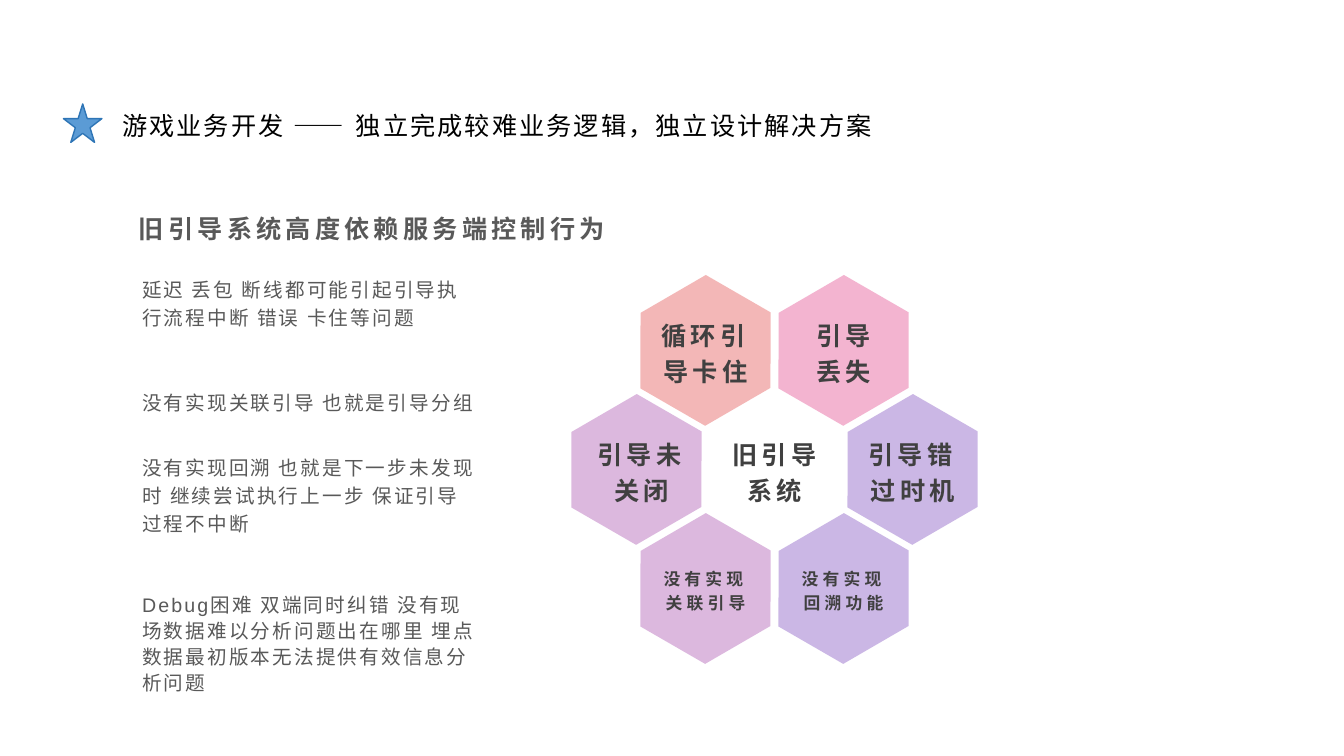
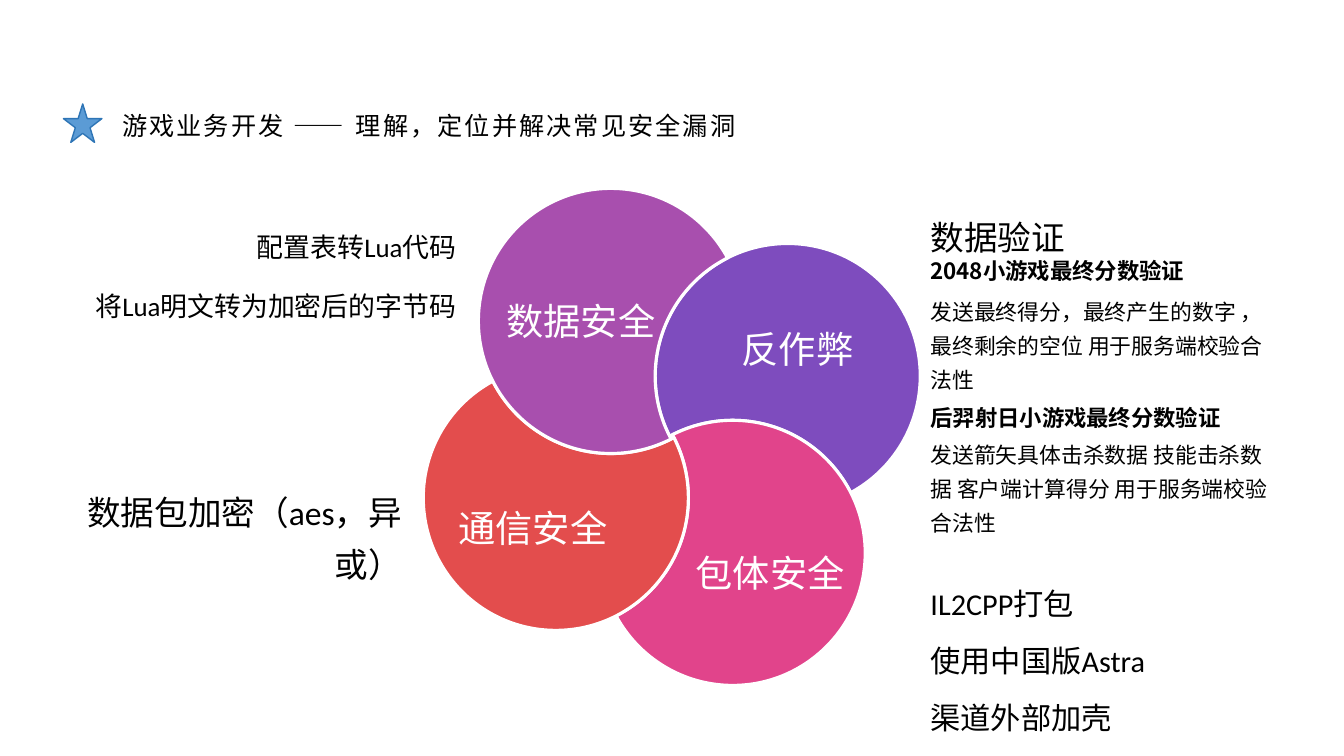
import math

import lxml.etree
import pptx
import pptx.dml.color
import pptx.enum.shapes
import pptx.enum.text
import pptx.oxml.ns
import pptx.util

Cm = pptx.util.Cm
Pt = pptx.util.Pt
RGBColor = pptx.dml.color.RGBColor
qn = pptx.oxml.ns.qn
SHAPE = pptx.enum.shapes.MSO_SHAPE
ALIGN = pptx.enum.text.PP_ALIGN
ANCHOR = pptx.enum.text.MSO_ANCHOR

BLACK = RGBColor(0x00, 0x00, 0x00)
WHITE = RGBColor(0xFF, 0xFF, 0xFF)
DARK_GREY = RGBColor(0x40, 0x40, 0x40)
GREY = RGBColor(0x59, 0x59, 0x59)
RED = RGBColor(0xE3, 0x4D, 0x4D)
PINK = RGBColor(0xE1, 0x44, 0x8B)
MAUVE = RGBColor(0xA8, 0x4F, 0xAE)
PURPLE = RGBColor(0x7E, 0x4C, 0xBE)
STAR_BLUE = RGBColor(0x5B, 0x9B, 0xD5)
STAR_EDGE = RGBColor(0x2E, 0x75, 0xB6)

CJK_FONT = "Noto Sans CJK SC"
DEFAULT_INSETS = (0.25, 0.13, 0.25, 0.13)
NOTE_INSETS = (0.25, 0, 0.25, 0.13)
HEADING_INSETS = (0.25, 0.13, 0.25, 0)

HEXAGON_WIDTH, HEXAGON_HEIGHT = 3.78, 3.3
HEXAGON_STEP_X, HEXAGON_STEP_Y = 1.74, 3.0
HONEYCOMB_X, HONEYCOMB_Y = 19.52, 11.83

PINWHEEL_X, PINWHEEL_Y = 16.93, 11.01
PINWHEEL_ORBIT, PINWHEEL_RADIUS, PINWHEEL_TILT = 3.3, 3.34, -27.7


def add_text(page, left, top, width, height, lines, size=14, font="Arial",
             color=BLACK, bold=False, tracking=0, align=ALIGN.LEFT,
             anchor=ANCHOR.TOP, spacing=1.2, before=0, insets=DEFAULT_INSETS):
    box = page.shapes.add_textbox(Cm(left), Cm(top), Cm(width), Cm(height))
    frame = box.text_frame
    frame.word_wrap = True
    frame.vertical_anchor = anchor
    (frame.margin_left, frame.margin_top,
     frame.margin_right, frame.margin_bottom) = [Cm(inset) for inset in insets]
    for index, line in enumerate(lines):
        para = frame.add_paragraph() if index else frame.paragraphs[0]
        para.alignment = align
        para.line_spacing = spacing
        para.space_before = Pt(before)
        span = para.add_run()
        span.text = line
        span.font.size = Pt(size)
        span.font.bold = bold
        span.font.name = font
        span.font.color.rgb = color
        properties = span.font._element
        properties.set("lang", "zh-CN")
        if tracking:
            properties.set("spc", str(int(tracking * 100)))
        lxml.etree.SubElement(properties, qn("a:ea")).set("typeface", CJK_FONT)
    return box


def paint(shape, color, edge=None, edge_width=1, opacity=100):
    shape.shadow.inherit = False
    shape.fill.solid()
    shape.fill.fore_color.rgb = color
    if opacity < 100:
        fill = shape.element.spPr.find(qn("a:solidFill"))
        lxml.etree.SubElement(fill[0], qn("a:alpha")).set("val", str(opacity * 1000))
    if edge is None:
        shape.line.fill.background()
    else:
        shape.line.color.rgb = edge
        shape.line.width = Pt(edge_width)


def add_page(deck, title):
    page = deck.slides.add_slide(deck.slide_layouts[6])
    star = page.shapes.add_shape(SHAPE.STAR_5_POINT, Cm(1.6), Cm(2.62), Cm(0.97), Cm(0.97))
    paint(star, STAR_BLUE, STAR_EDGE)
    add_text(page, 2.83, 2.62, 27.08, 1.42, ["游戏业务开发 —— " + title],
             size=18, font=CJK_FONT, tracking=1.5, insets=NOTE_INSETS)
    return page


def add_hexagon(page, column, row, color, lines, size=18, opacity=40, nudge=0):
    center_x = HONEYCOMB_X + column * HEXAGON_STEP_X
    center_y = HONEYCOMB_Y + row * HEXAGON_STEP_Y
    hexagon = page.shapes.add_shape(
        SHAPE.HEXAGON, Cm(center_x - HEXAGON_WIDTH / 2), Cm(center_y - HEXAGON_HEIGHT / 2),
        Cm(HEXAGON_WIDTH), Cm(HEXAGON_HEIGHT))
    hexagon.adjustments[0] = 0.287
    hexagon.adjustments[1] = 1.155
    hexagon.rotation = 30
    paint(hexagon, color, opacity=opacity)
    width, height = 2.8, 2.2
    add_text(page, center_x - width / 2 + nudge, center_y - height / 2, width, height, lines,
             size=size, color=DARK_GREY, bold=True, tracking=3,
             align=ALIGN.CENTER, anchor=ANCHOR.MIDDLE)


def circle_point(center, angle, handle=0):
    cosine, sine = math.cos(math.radians(angle)), math.sin(math.radians(angle))
    return (Cm(center[0] + PINWHEEL_RADIUS * (cosine - handle * sine)),
            Cm(center[1] + PINWHEEL_RADIUS * (sine + handle * cosine)))


def arc_controls(center, angles):
    controls = []
    for start, end in zip(angles, angles[1:]):
        handle = 4 / 3 * math.tan(math.radians(end - start) / 4)
        controls += [circle_point(center, start, handle),
                     circle_point(center, end, -handle),
                     circle_point(center, end)]
    return controls


def bend_lines(shape):
    outline = next(shape.element.iter(qn("a:path")))
    lines = outline.findall(qn("a:lnTo"))
    for first in range(0, len(lines), 3):
        curve = lxml.etree.Element(qn("a:cubicBezTo"))
        lines[first].addprevious(curve)
        for line in lines[first:first + 3]:
            curve.append(line[0])
            outline.remove(line)


def petal_center(angle):
    return (PINWHEEL_X + PINWHEEL_ORBIT * math.cos(math.radians(angle)),
            PINWHEEL_Y + PINWHEEL_ORBIT * math.sin(math.radians(angle)))


def add_petal(page, index, color):
    angle = PINWHEEL_TILT + 90 * index
    toward_next = angle + 135
    half_gap = math.degrees(math.acos(PINWHEEL_ORBIT / math.sqrt(2) / PINWHEEL_RADIUS))
    start, end = toward_next + half_gap, toward_next + 360 - half_gap
    quarters = [quarter for quarter in range(0, 1080, 90) if start < quarter < end]
    center = petal_center(angle)
    controls = arc_controls(center, [start, *quarters, end])
    controls += arc_controls(petal_center(angle + 90), [start + 180, end - 180])
    builder = page.shapes.build_freeform(*circle_point(center, start))
    builder.add_line_segments(controls, close=True)
    petal = builder.convert_to_shape()
    bend_lines(petal)
    paint(petal, color, WHITE, 2.25)


def build_guide_page(deck):
    page = add_page(deck, "独立完成较难业务逻辑，独立设计解决方案")
    add_text(page, 2.88, 4.27, 12.62, 1.88, ["旧引导系统高度依赖服务端控制行为"],
             size=18, color=GREY, bold=True, tracking=3, align=ALIGN.RIGHT,
             anchor=ANCHOR.BOTTOM, insets=HEADING_INSETS)
    notes = [
        (6.89, 1.2, "延迟 丢包 断线都可能引起引导执行流程中断 错误 卡住等问题"),
        (9.73, 1.2, "没有实现关联引导 也就是引导分组"),
        (11.36, 1.2, "没有实现回溯 也就是下一步未发现时 继续尝试执行上一步 保证引导过程不中断"),
        (14.88, 1.1, "Debug困难 双端同时纠错 没有现场数据难以分析问题出在哪里 "
                     "埋点数据最初版本无法提供有效信息分析问题"),
    ]
    for top, spacing, note in notes:
        add_text(page, 3.33, top, 8.92, 2.84, [note], color=GREY, tracking=1.5,
                 spacing=spacing, insets=NOTE_INSETS)
    add_hexagon(page, -2, 0, MAUVE, ["引导未关闭"], nudge=0.13)
    add_hexagon(page, 0, 0, WHITE, ["旧引导", "系统"], opacity=80)
    add_hexagon(page, -1, -1, RED, ["循环引导卡住"])
    add_hexagon(page, 2, 0, PURPLE, ["引导错过时机"])
    add_hexagon(page, -1, 1, MAUVE, ["没有实现关联引导"], size=12)
    add_hexagon(page, 1, -1, PINK, ["引导", "丢失"])
    add_hexagon(page, 1, 1, PURPLE, ["没有实现回溯功能"], size=12)


def build_security_page(deck):
    page = add_page(deck, "理解，定位并解决常见安全漏洞")
    for index, color in enumerate([PURPLE, PINK, RED, MAUVE]):
        add_petal(page, index, color)
    middle = {"anchor": ANCHOR.MIDDLE, "spacing": 1.3, "before": 12}
    labels = [
        (14.64, 5.79, "数据安全"),
        (20.1, 6.49, "反作弊"),
        (13.43, 11.0, "通信安全"),
        (19.41, 12.14, "包体安全"),
    ]
    label_width = 5.2
    for center, top, label in labels:
        add_text(page, center - label_width / 2, top, label_width, 4.24, [label],
                 size=26.6, color=WHITE, align=ALIGN.CENTER, **middle)
    add_text(page, 0.93, 4.7, 10.82, 4.27, ["配置表转Lua代码", "将Lua明文转为加密后的字节码"],
             size=19.2, font="Calibri", align=ALIGN.RIGHT, **middle)
    add_text(page, 0.55, 11.28, 9.83, 4.24, ["数据包加密（aes，异或）"],
             size=24, font="Calibri", align=ALIGN.RIGHT, **middle)
    right_column = 23.2
    add_text(page, right_column, 4.53, 9.7, 2.59, ["数据验证"],
             size=24, font="Calibri", **middle)
    checks = [
        (4.75, 6.65, "2048小游戏最终分数验证",
         "发送最终得分，最终产生的数字 ，最终剩余的空位 用于服务端校验合法性"),
        (8.44, 10.25, "后羿射日小游戏最终分数验证",
         "发送箭矢具体击杀数据 技能击杀数据 客户端计算得分 用于服务端校验合法性"),
    ]
    for heading_top, detail_top, heading, detail in checks:
        add_text(page, right_column, heading_top, 9.4, 3.94, [heading],
                 size=16, font=CJK_FONT, bold=True, **middle)
        add_text(page, right_column, detail_top, 9.4, 3.94, [detail],
                 size=15.6, font="Calibri", **middle)
    add_text(page, right_column, 14.48, 9.07, 4.24,
             ["IL2CPP打包", "使用中国版Astra", "渠道外部加壳"],
             size=21.6, font="Calibri", anchor=ANCHOR.MIDDLE, spacing=1.1, before=12)


def main():
    deck = pptx.Presentation()
    deck.slide_width = Cm(33.87)
    deck.slide_height = Cm(19.05)
    build_guide_page(deck)
    build_security_page(deck)
    deck.save("out.pptx")


if __name__ == "__main__":
    main()
